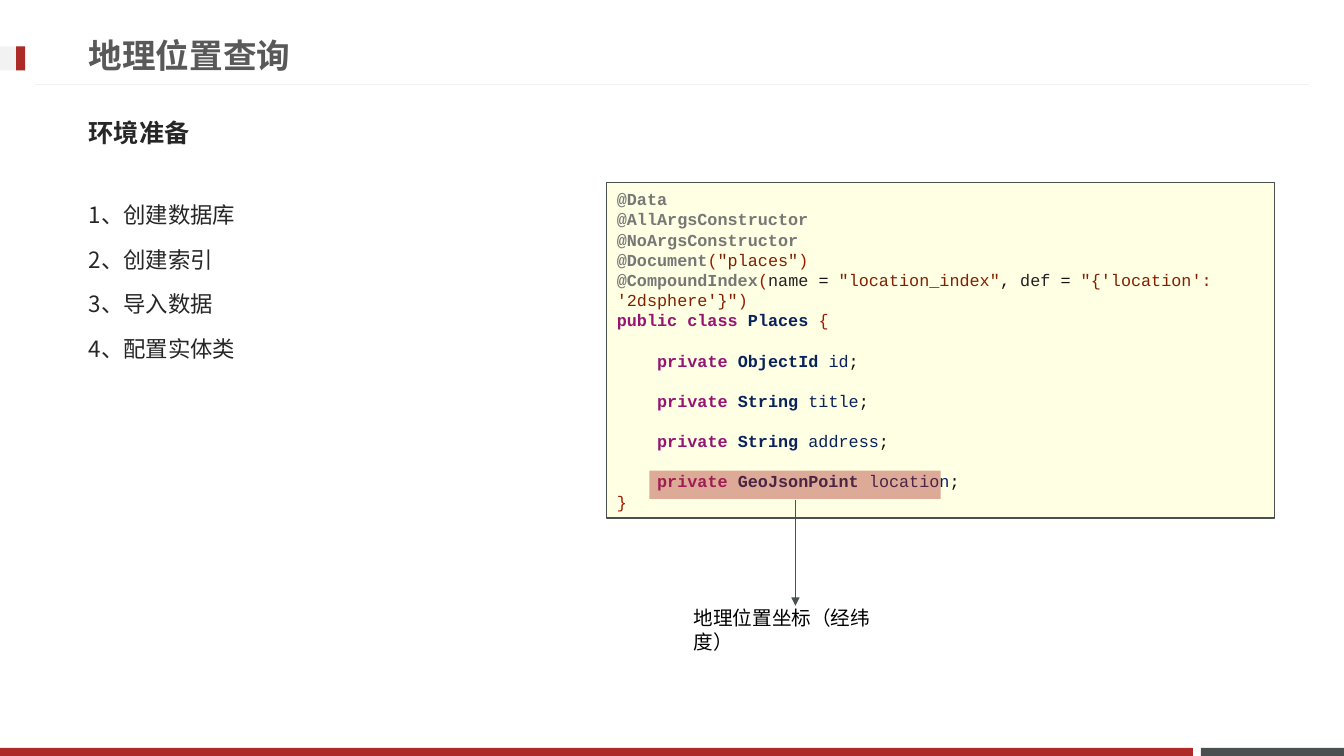
from lxml.etree import SubElement
from pptx import Presentation
from pptx.dml.color import RGBColor
from pptx.enum.shapes import MSO_CONNECTOR, MSO_SHAPE
from pptx.enum.text import MSO_ANCHOR, MSO_AUTO_SIZE, PP_ALIGN
from pptx.oxml.ns import qn
from pptx.util import Inches, Pt

RED = RGBColor(0xAD, 0x2B, 0x26)
SLATE = RGBColor(0x49, 0x50, 0x4F)
PALE = RGBColor(0xF2, 0xF2, 0xF2)
CREAM = RGBColor(0xFF, 0xFF, 0xE4)
GRAY = RGBColor(0x59, 0x59, 0x59)
INK = RGBColor(0x26, 0x26, 0x26)
BLACK = RGBColor(0, 0, 0)

# Code styles: colour and weight
TAG = (RGBColor(0x77, 0x77, 0x77), True)
MARK = (RGBColor(0x9C, 0x1A, 0x00), False)
QUOTE = (RGBColor(0x82, 0x1F, 0x01), False)
NAME = (RGBColor(0x22, 0x22, 0x22), False)
SIGN = (RGBColor(0x11, 0x11, 0x11), False)
KEY = (RGBColor(0x96, 0x15, 0x74), True)
TYPE = (RGBColor(0x08, 0x22, 0x5C), True)
FIELD = (TYPE[0], False)

SANS = "Noto Sans CJK JP"
MONO = "Courier New"
PITCH = Pt(14.4)

HEAD = [
    [("@Data", TAG)],
    [("@AllArgsConstructor", TAG)],
    [("@NoArgsConstructor", TAG)],
    [("@Document", TAG), ("(", MARK), ('"places"', QUOTE), (")", MARK)],
    [("@CompoundIndex", TAG), ("(", MARK), ("name ", NAME), ("= ", SIGN),
     ('"location_index"', QUOTE), (", ", SIGN), ("def ", NAME), ("= ", SIGN),
     ("\"{'location': '2dsphere'}\"", QUOTE), (")", MARK)],
    [("public class ", KEY), ("Places ", TYPE), ("{", MARK)],
]
FIELDS = [("ObjectId", "id"), ("String", "title"), ("String", "address"),
          ("GeoJsonPoint", "location")]
STEPS = ["1、创建数据库", "2、创建索引", "3、导入数据", "4、配置实体类"]


def write(para, text, size=12, face=SANS, color=INK, bold=False):
    """Add a run, with the sans face for its East Asian letters."""
    run = para.add_run()
    run.text = text
    font = run.font
    font.size, font.name, font.bold = Pt(size), face, bold
    font.color.rgb = color
    SubElement(font._element, qn("a:ea"), typeface=SANS)


class Deck:
    """Places elements by percent of the slide's width and height."""

    def __init__(self):
        self.show = Presentation()
        self.show.slide_width = Inches(13.33)
        self.show.slide_height = Inches(7.5)
        self.slide = self.show.slides.add_slide(self.show.slide_layouts[3])
        self.shapes = self.slide.shapes

    def spot(self, x, y):
        return (round(self.show.slide_width * x / 100),
                round(self.show.slide_height * y / 100))

    def area(self, x, y, w, h):
        return self.spot(x, y) + self.spot(w, h)

    def rect(self, *area, fill, edge=None, alpha=None):
        box = self.shapes.add_shape(MSO_SHAPE.RECTANGLE, *self.area(*area))
        box.shadow.inherit = False
        box.fill.solid()
        box.fill.fore_color.rgb = fill
        if alpha:
            color = box.fill._xPr.find(".//" + qn("a:srgbClr"))
            SubElement(color, qn("a:alpha"), val=str(alpha * 1000))
        if edge:
            box.line.color.rgb = edge
            box.line.width = Pt(0.75)
        else:
            box.line.fill.background()
        return box

    def line(self, start, end, color, width, arrow=False):
        wire = self.shapes.add_connector(
            MSO_CONNECTOR.STRAIGHT, *self.spot(*start), *self.spot(*end))
        wire.line.color.rgb = color
        wire.line.width = Pt(width)
        if arrow:
            SubElement(wire.line._get_or_add_ln(), qn("a:tailEnd"), type="triangle")
        SubElement(wire._element.spPr, qn("a:effectLst"))

    def frame(self, box, anchor=MSO_ANCHOR.MIDDLE):
        frame = box.text_frame
        frame.word_wrap = True
        frame.auto_size = MSO_AUTO_SIZE.NONE
        frame.vertical_anchor = anchor
        return frame

    def holder(self, index, area, lines, anchor=MSO_ANCHOR.MIDDLE,
               space=0, pitch=1.0, **style):
        """Move a placeholder and fill it with unbulleted lines."""
        box = self.slide.placeholders[index]
        box.left, box.top, box.width, box.height = self.area(*area)
        frame = self.frame(box, anchor)
        for i, text in enumerate(lines):
            para = frame.paragraphs[0] if i == 0 else frame.add_paragraph()
            para.alignment = PP_ALIGN.LEFT
            para.line_spacing, para.space_before = pitch, Pt(space)
            props = para._p.get_or_add_pPr()
            props.set("marL", "0")
            props.set("indent", "0")
            SubElement(props, qn("a:buNone"))
            write(para, text, **style)

    def label(self, area, text, **style):
        frame = self.frame(self.shapes.add_textbox(*self.area(*area)))
        write(frame.paragraphs[0], text, **style)

    def code(self, *area):
        frame = self.frame(self.rect(*area, fill=CREAM, edge=SLATE))
        body = [[("private ", KEY), (kind + " ", TYPE), (name, FIELD), (";", SIGN)]
                for kind, name in FIELDS]
        for i, row in enumerate(HEAD + body + [[("}", MARK)]]):
            para = frame.paragraphs[0] if i == 0 else frame.add_paragraph()
            para.alignment = PP_ALIGN.LEFT
            para.line_spacing = PITCH
            if row in body:
                para.space_before = PITCH
                para._p.get_or_add_pPr().set("marL", str(Inches(0.4)))
            for text, (color, bold) in row:
                write(para, text, face=MONO, color=color, bold=bold)


def main():
    deck = Deck()
    deck.rect(89.35, 98.93, 10.65, 1.07, fill=SLATE)
    deck.rect(0, 98.93, 88.75, 1.07, fill=RED)
    deck.line((97.37, 11.2), (2.63, 11.2), PALE, 0.75)
    deck.rect(0, 6.13, 1.88, 3.2, fill=PALE)
    deck.rect(1.2, 6.13, 0.68, 3.2, fill=RED)

    deck.holder(0, (5.85, 3.47, 71.94, 7.6), ["地理位置查询"],
                size=24, face=MONO, color=GRAY, bold=True)
    deck.holder(1, (5.85, 13.73, 87.77, 7.6), ["环境准备"],
                space=3.6, size=18, bold=True)
    deck.holder(2, (5.85, 24.13, 34.21, 61.47), STEPS, MSO_ANCHOR.TOP,
                space=3.2, pitch=1.5, size=16)

    deck.code(45.16, 24.13, 49.66, 44.4)
    deck.rect(48.31, 62.27, 21.68, 3.73, fill=RED, alpha=40)
    deck.line((59.19, 66.13), (59.19, 80.13), SLATE, 1, arrow=True)
    deck.label((50.86, 80.13, 16.65, 6.27), "地理位置坐标（经纬度）",
               size=14, face="Calibri", color=BLACK)
    deck.show.save("out.pptx")


if __name__ == "__main__":
    main()
